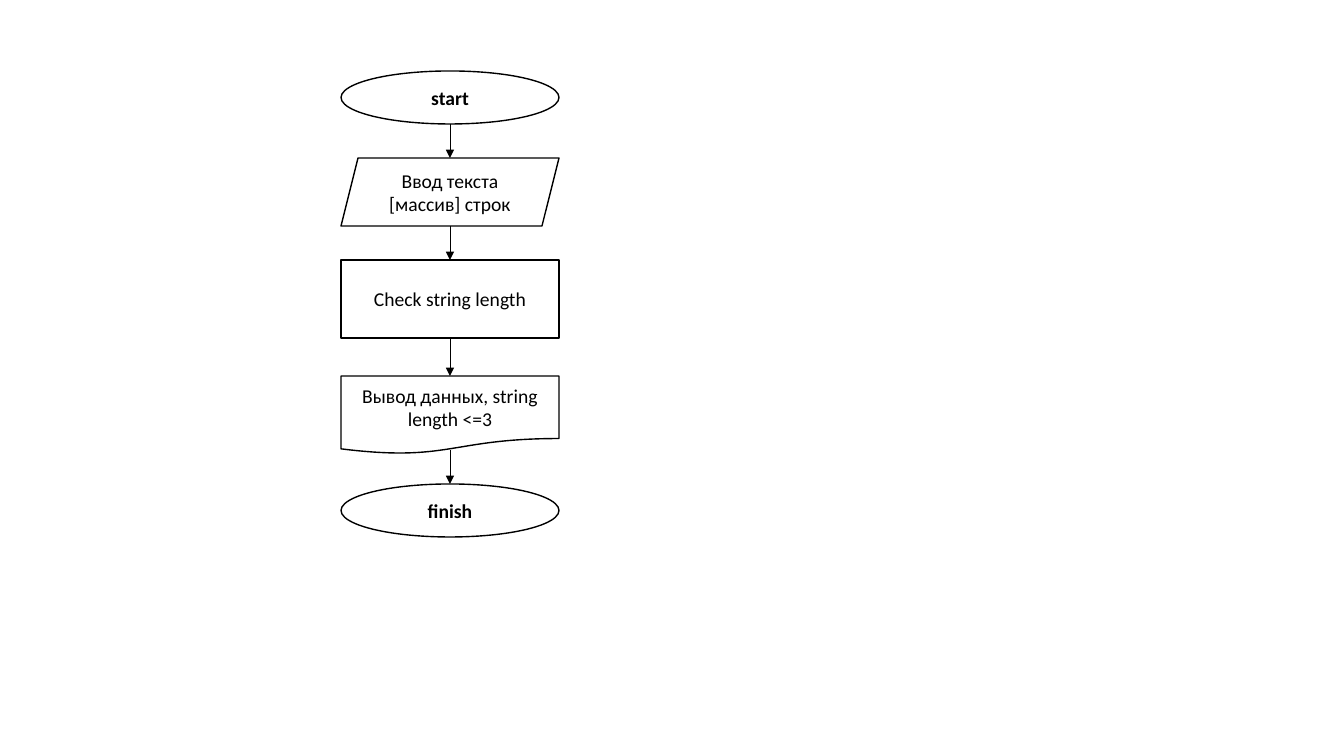
from lxml import etree
from pptx import Presentation
from pptx import util as u
from pptx.dml.color import RGBColor
from pptx.enum import shapes, text
from pptx.oxml import ns

EMU_PER_PIXEL = 914400 / 100.8
COLORS = {"ink": "000000", "paper": "FFFFFF"}
FONT = "Calibri"
STEP_LEFT, STEP_WIDTH = 341, 218
DOCUMENT_WAVE = 4

KINDS = shapes.MSO_SHAPE
STEPS = [
    (KINDS.OVAL, 71, 53, "start", True),
    (KINDS.PARALLELOGRAM, 158, 68, "Ввод текста [массив] строк", False),
    (KINDS.RECTANGLE, 260, 78, "Check string length", False),
    (KINDS.FLOWCHART_DOCUMENT, 376, 78, "Вывод данных, string length <=3", False),
    (KINDS.OVAL, 484, 53, "finish", True),
]


def px(pixels):
    return u.Emu(round(pixels * EMU_PER_PIXEL))


def color(name):
    return RGBColor.from_string(COLORS[name])


def write_text(shape, words, size=14, bold=False, ink="ink"):
    frame = shape.text_frame
    frame.word_wrap = True
    frame.vertical_anchor = text.MSO_ANCHOR.MIDDLE
    paragraph = frame.paragraphs[0]
    paragraph.alignment = text.PP_ALIGN.CENTER
    run = paragraph.add_run()
    run.text = words
    run.font.name = FONT
    run.font.size = u.Pt(size)
    run.font.bold = bold
    run.font.color.rgb = color(ink)


def add_step(slide, kind, top, height, words, bold):
    shape = slide.shapes.add_shape(
        kind, px(STEP_LEFT), px(top), px(STEP_WIDTH), px(height))
    shape.shadow.inherit = False
    shape.fill.solid()
    shape.fill.fore_color.rgb = color("paper")
    shape.line.color.rgb = color("ink")
    shape.line.width = u.Pt(1)
    write_text(shape, words, bold=bold)


def add_arrow(slide, start, end):
    center = px(STEP_LEFT + STEP_WIDTH / 2)
    arrow = slide.shapes.add_connector(
        shapes.MSO_CONNECTOR.STRAIGHT, center, px(start), center, px(end))
    arrow.line.color.rgb = color("ink")
    arrow.line.width = u.Pt(0.5)
    properties = arrow.element.spPr
    line = properties.find(ns.qn("a:ln"))
    etree.SubElement(line, ns.qn("a:tailEnd"), type="triangle")
    etree.SubElement(properties, ns.qn("a:effectLst"))


def main():
    presentation = Presentation()
    presentation.slide_width = px(1344)
    presentation.slide_height = px(756)
    slide = presentation.slides.add_slide(presentation.slide_layouts[6])
    for step in STEPS:
        add_step(slide, *step)
    for (kind, top, height, *_), following in zip(STEPS, STEPS[1:]):
        wave = DOCUMENT_WAVE if kind == KINDS.FLOWCHART_DOCUMENT else 0
        add_arrow(slide, top + height - wave, following[1])
    presentation.save("out.pptx")


main()
